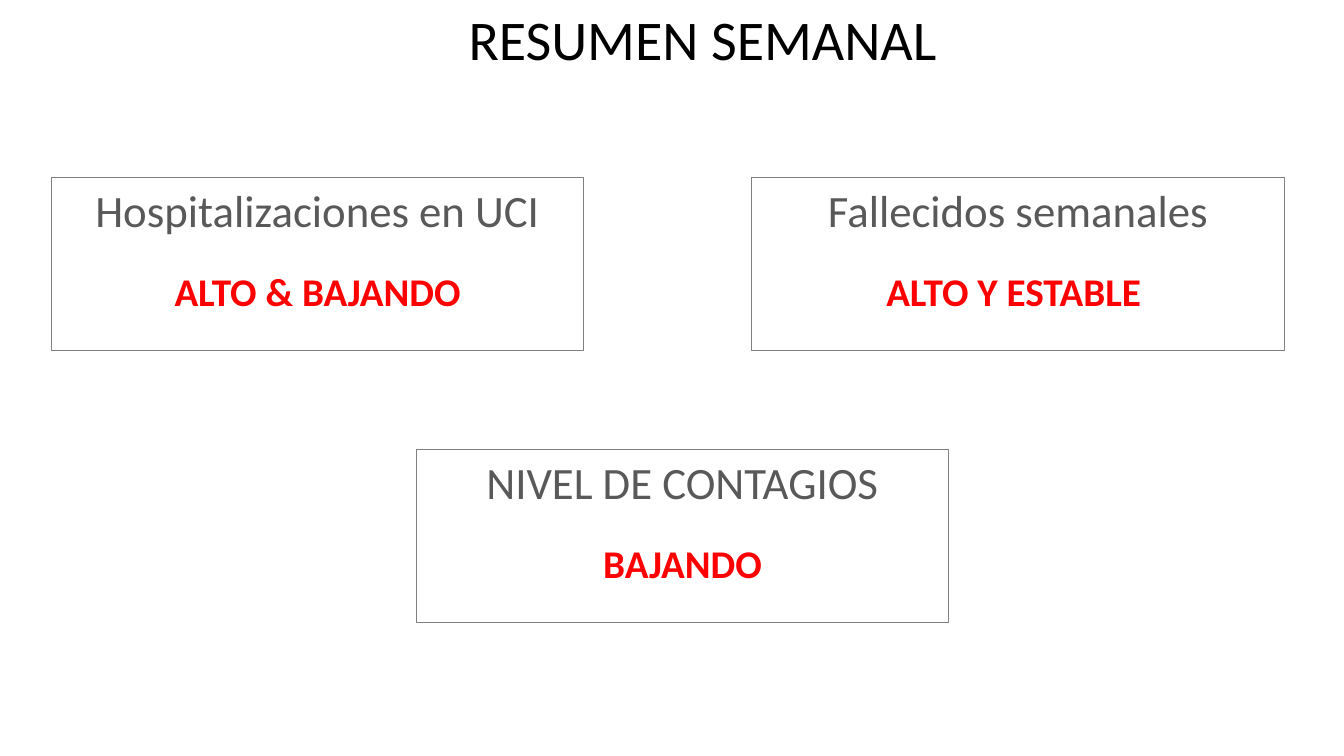
from dataclasses import dataclass

from pptx import Presentation
from pptx.dml.color import RGBColor
from pptx.enum.shapes import MSO_SHAPE
from pptx.enum.text import MSO_ANCHOR, PP_ALIGN
from pptx.slide import Slide
from pptx.util import Pt

FONT = "Calibri"
BOX_W, BOX_H = 380.2, 123.6
GAP = 22  # space between heading and status


@dataclass
class Card:
    left: float
    top: float
    head: str
    state: str


CARDS = [
    Card(36.7, 127, "Hospitalizaciones en UCI", "ALTO & BAJANDO"),
    Card(537.1, 127, "Fallecidos semanales", "ALTO Y ESTABLE "),
    Card(297.4, 321.1, "NIVEL DE CONTAGIOS", "BAJANDO"),
]


def color(code: str) -> RGBColor:
    return RGBColor.from_string(code)


def style(para, size: float, code: str, bold: bool = False) -> None:
    for run in para.runs:
        run.font.name = FONT
        run.font.size = Pt(size)
        run.font.bold = bold
        run.font.color.rgb = color(code)


def add_title(slide: Slide, text: str) -> None:
    box = slide.shapes.add_textbox(Pt(327.6), Pt(0), Pt(352), Pt(55.4))
    frame = box.text_frame
    frame.word_wrap = False
    frame.text = text
    style(frame.paragraphs[0], 40, "000000")


def add_card(slide: Slide, card: Card) -> None:
    box = slide.shapes.add_shape(
        MSO_SHAPE.RECTANGLE, Pt(card.left), Pt(card.top), Pt(BOX_W), Pt(BOX_H)
    )
    box.shadow.inherit = False
    box.fill.background()
    box.line.color.rgb = color("808080")
    box.line.width = Pt(0.75)

    # Heading above, status below
    frame = box.text_frame
    frame.word_wrap = True
    frame.vertical_anchor = MSO_ANCHOR.TOP
    frame.text = f"{card.head}\n{card.state}"
    head, state = frame.paragraphs
    for para in (head, state):
        para.alignment = PP_ALIGN.CENTER
    state.space_before = Pt(GAP)
    style(head, 32, "595959")
    style(state, 28, "FF0000", bold=True)


def main() -> None:
    deck = Presentation()
    deck.slide_width, deck.slide_height = Pt(960), Pt(540)
    slide = deck.slides.add_slide(deck.slide_layouts[6])

    add_title(slide, "RESUMEN SEMANAL")
    for card in CARDS:
        add_card(slide, card)

    deck.save("out.pptx")


if __name__ == "__main__":
    main()
